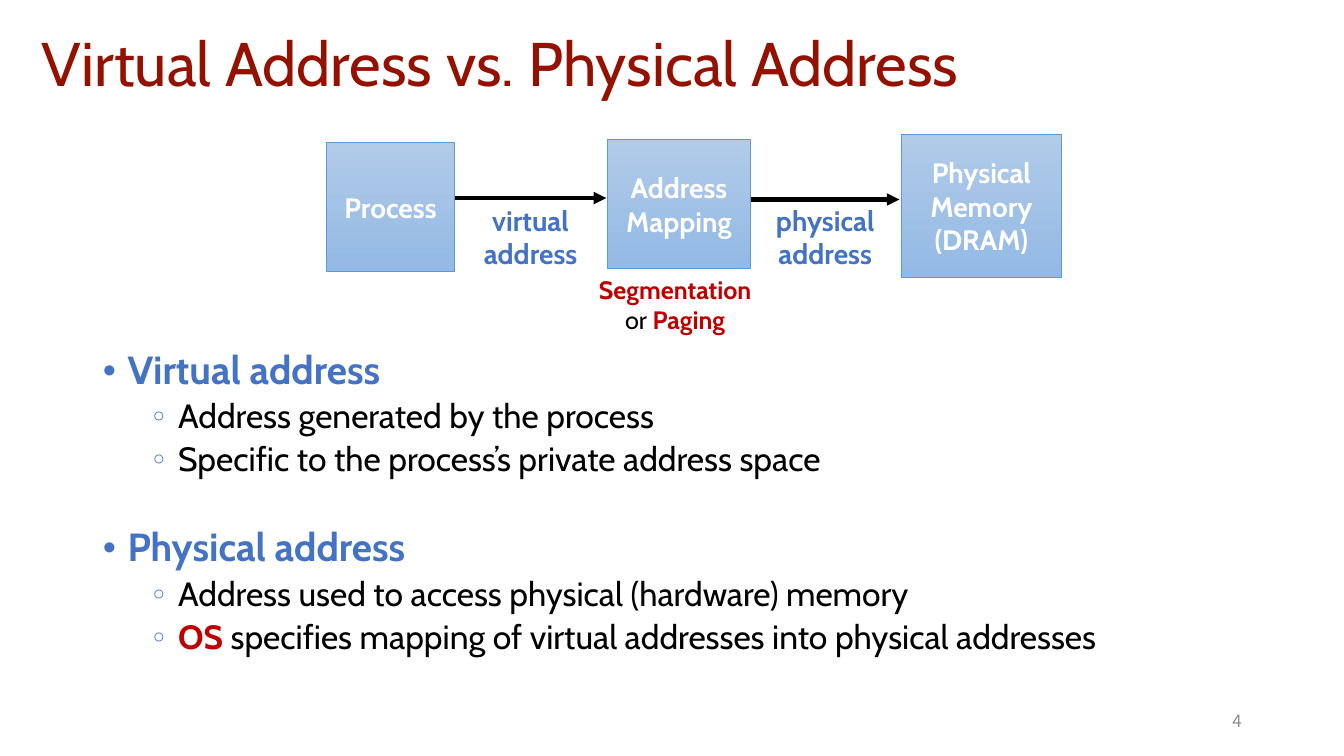
from lxml import etree
from pptx import Presentation
from pptx.dml.color import RGBColor
from pptx.enum.shapes import MSO_CONNECTOR, MSO_SHAPE
from pptx.enum.text import MSO_ANCHOR, MSO_AUTO_SIZE, PP_ALIGN
from pptx.oxml.ns import qn
from pptx.util import Pt

LEFT, CENTER, RIGHT = PP_ALIGN.LEFT, PP_ALIGN.CENTER, PP_ALIGN.RIGHT
TOP, MIDDLE = MSO_ANCHOR.TOP, MSO_ANCHOR.MIDDLE
NO_AUTOFIT = MSO_AUTO_SIZE.NONE
RECTANGLE = MSO_SHAPE.RECTANGLE
STRAIGHT = MSO_CONNECTOR.STRAIGHT

FONT = "Cabin"
BLUE, RED, BLACK, WHITE = "4472C4", "C00000", "000000", "FFFFFF"


def color(hex_string):
    """Turn a hex string into a colour."""
    return RGBColor.from_string(hex_string)


def place(shape, box):
    """Move a shape to a box of left, top, width and height in points."""
    shape.left, shape.top, shape.width, shape.height = [Pt(value) for value in box]


def write_paragraph(paragraph, runs, size, fill=BLACK, bold=False, font=FONT,
                    align=LEFT, line_spacing=1.0, before=0):
    """Write text, or a list of (text, colour, bold) runs, with its format."""
    paragraph.alignment = align
    paragraph.line_spacing = line_spacing
    paragraph.space_before = Pt(before)
    if isinstance(runs, str):
        runs = [(runs, fill, bold)]
    for text, run_fill, run_bold in runs:
        run = paragraph.add_run()
        run.text = text
        run.font.name = font
        run.font.size = Pt(size)
        run.font.bold = run_bold
        run.font.color.rgb = color(run_fill)


def prepare_frame(shape, anchor):
    """Make a shape's text wrap, keep its size and sit at the anchor."""
    frame = shape.text_frame
    frame.word_wrap = True
    frame.auto_size = NO_AUTOFIT
    frame.vertical_anchor = anchor
    return frame


def write_lines(shape, lines, anchor=TOP, **text_format):
    """Fill a shape with one paragraph per line."""
    frame = prepare_frame(shape, anchor)
    for index, line in enumerate(lines):
        paragraph = frame.add_paragraph() if index else frame.paragraphs[0]
        write_paragraph(paragraph, line, **text_format)


def set_bullet(paragraph, character, indent):
    """Give a paragraph a small blue bullet with a hanging indent in points."""
    properties = paragraph._p.get_or_add_pPr()
    properties.set("marL", str(Pt(indent)))
    properties.set("indent", str(Pt(-18)))
    bullet_color = etree.SubElement(properties, qn("a:buClr"))
    etree.SubElement(bullet_color, qn("a:srgbClr"), val=BLUE)
    etree.SubElement(properties, qn("a:buSzPct"), val="60000")
    etree.SubElement(properties, qn("a:buFont"), typeface="Arial")
    etree.SubElement(properties, qn("a:buChar"), char=character)


def add_label(slide, box, lines, **text_format):
    """Add a text box with no side margins."""
    label = slide.shapes.add_textbox(*[Pt(value) for value in box])
    label.text_frame.margin_left = label.text_frame.margin_right = 0
    write_lines(label, lines, **text_format)


def add_block(slide, box, lines):
    """Add a blue gradient block with white text."""
    block = slide.shapes.add_shape(RECTANGLE, *[Pt(value) for value in box])
    block.shadow.inherit = False
    block.fill.gradient()
    block.fill.gradient_angle = 270
    for stop, stop_color in zip(block.fill.gradient_stops, ("B1CBE9", "93B9E4")):
        stop.color.rgb = color(stop_color)
        stop.position = 0 if stop_color == "B1CBE9" else 1
    block.line.color.rgb = color("5B9BD5")
    block.line.width = Pt(0.5)
    write_lines(block, lines, anchor=MIDDLE, size=20, fill=WHITE, bold=True, align=CENTER)


def add_arrow(slide, start, end, height):
    """Add a horizontal black arrow."""
    arrow = slide.shapes.add_connector(STRAIGHT, Pt(start), Pt(height), Pt(end), Pt(height))
    arrow.line.color.rgb = color(BLACK)
    arrow.line.width = Pt(3)
    etree.SubElement(arrow.line._get_or_add_ln(), qn("a:tailEnd"), type="triangle")
    etree.SubElement(arrow._element.spPr, qn("a:effectLst"))


def add_title(slide, box):
    """Fill the title placeholder."""
    title = slide.shapes.title
    place(title, box)
    write_lines(title, ["Virtual Address vs. Physical Address"],
                size=44, fill="941100", line_spacing=0.9)


def add_diagram(slide, box):
    """Draw the path from process to physical memory."""
    left, top, width, height = box
    blocks = [
        (0, 5.5, 91, 92.5, ["Process"]),
        (200.5, 3.5, 102, 92.5, ["Address", "Mapping"]),
        (410.5, 0, 114, 102.5, ["Physical Memory", "(DRAM)"]),
    ]
    for x, y, block_width, block_height, lines in blocks:
        add_block(slide, (left + x, top + y, block_width, block_height), lines)
    steps = [(91.5, 199.5, 45.5, "virtual"), (303, 409, 46.5, "physical")]
    for start, end, y, kind in steps:
        add_arrow(slide, left + start, left + end, top + y)
        middle = left + (start + end) / 2
        add_label(slide, (middle - 43, top + 45.5, 86, 55), [kind, "address"],
                  size=20, fill=BLUE, bold=True, align=CENTER)
    methods = [[("Segmentation", RED, True)],
               [("or ", BLACK, False), ("Paging", RED, True)]]
    add_label(slide, (left + 185, top + 96.5, 127.5, 51), methods, size=18, align=CENTER)


def add_definitions(slide, box):
    """Fill the body placeholder with the two definitions."""
    body = slide.placeholders[1]
    place(body, box)
    frame = prepare_frame(body, TOP)
    groups = [
        ("Virtual address", 10, [
            "Address generated by the process",
            "Specific to the process’s private address space"]),
        ("Physical address", 35, [
            "Address used to access physical (hardware) memory",
            [("OS", RED, True),
             (" specifies mapping of virtual addresses into physical addresses",
              BLACK, False)]]),
    ]
    for index, (term, before, details) in enumerate(groups):
        heading = frame.add_paragraph() if index else frame.paragraphs[0]
        write_paragraph(heading, term, size=28, fill=BLUE, bold=True,
                        line_spacing=0.9, before=before)
        set_bullet(heading, "●", 18)
        for detail in details:
            paragraph = frame.add_paragraph()
            paragraph.level = 1
            write_paragraph(paragraph, detail, size=24, line_spacing=0.9, before=5)
            set_bullet(paragraph, "○", 54)


def main():
    """Build and save the slide."""
    presentation = Presentation()
    presentation.slide_width, presentation.slide_height = Pt(960), Pt(540)
    slide = presentation.slides.add_slide(presentation.slide_layouts[1])
    add_title(slide, (22.5, 20, 914, 91.5))
    add_definitions(slide, (66, 246.5, 828, 240))
    add_diagram(slide, (233.5, 96, 524.5, 147.5))
    add_label(slide, (678, 500.5, 209, 29), ["4"], anchor=MIDDLE, size=12,
              fill="8C8C8C", font="Noto Sans CJK SC", align=RIGHT)
    presentation.save("out.pptx")


if __name__ == "__main__":
    main()
